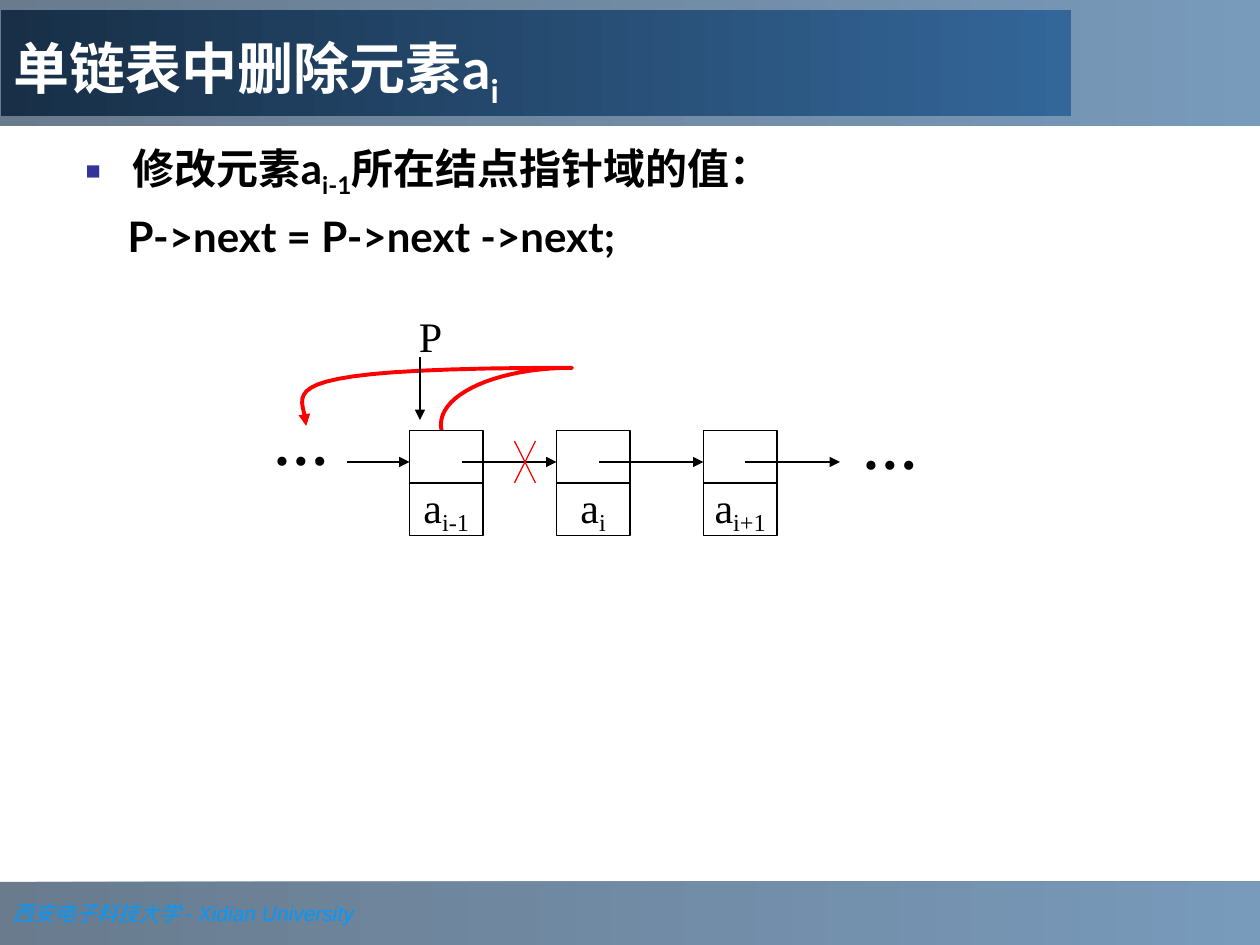
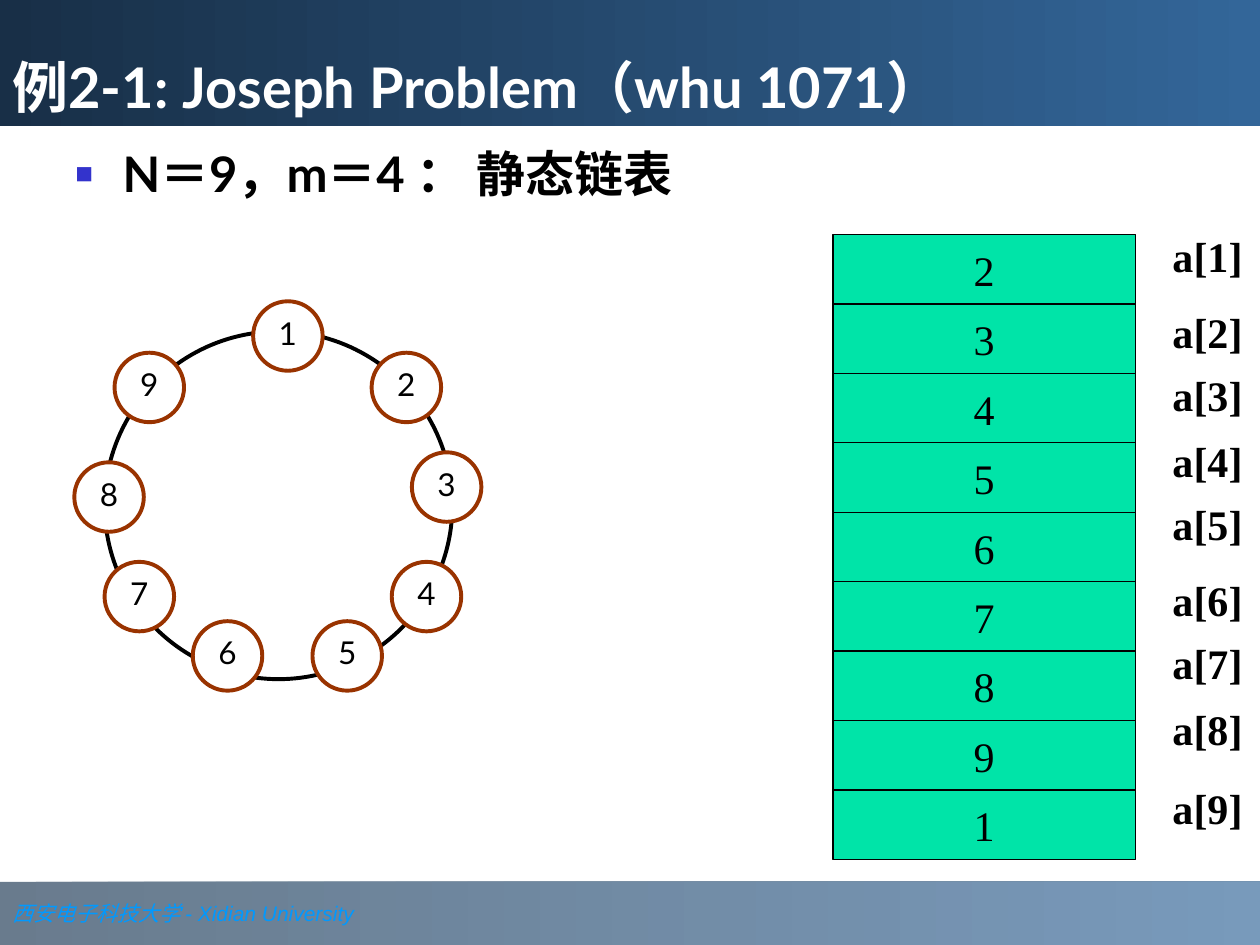
import pptx
import pptx.dml.color
import pptx.enum.shapes
import pptx.enum.text
import pptx.oxml
import pptx.oxml.ns
import pptx.util

Pt = pptx.util.Pt
SHAPES = pptx.enum.shapes.MSO_SHAPE
ALIGN = pptx.enum.text.PP_ALIGN
ANCHOR = pptx.enum.text.MSO_ANCHOR

COLORS = {
    "band_start": "1C3853", "band_end": "336699", "title_start": "182F47",
    "footer": "0099FF", "white": "FFFFFF", "black": "000000", "red": "FF0000",
    "bullet_delete": "333399", "bullet_joseph": "3333CC",
    "ring_node": "993300", "array_cell": "00E4A8",
}
SANS, SERIF = "Lato", "Times New Roman"
WIDTH, HEIGHT = 720, 540

FOOTER = [("西安电子科技大学 ", SERIF), ("- Xidian University", "Arial")]

DELETE_TITLE = [("单链表中删除元素a", 0), ("i", -25)]
DELETE_STEP = [("修改元素a", 0), ("i-1", -25), ("所在结点指针域的值：", 0)]
DELETE_CODE = [("P->next = P->next ->next;", 0)]
LIST_NODES = ["i-1", "i", "i+1"]
LIST_ARROWS = [(198, 234), (264, 318), (342, 402), (426, 480)]
ELLIPSES = [(156, 234), (492.5, 236.2)]
CROSS = [((306, 252), (294, 276)), ((294, 252), (306, 276))]
BYPASS = [
    ((261.4, 257.8), (254.9, 253.4), (252, 247.7), (252, 242.6)),
    ((252, 242.6), (252, 224.6), (285.1, 210.2), (326.9, 210.2)),
    ((326.9, 210.2), (141.8, 210.2), (175, 224.6), (175, 243.4)),
]

JOSEPH_TITLE = [("例2-1: Joseph Problem（whu 1071）", 0)]
JOSEPH_CASE = [("N＝9，m＝4 ： 静态链表", 0)]
RING_CENTERS = [(164.5, 192), (232.2, 221.4), (255.2, 278.3), (243.7, 340.9),
                (198.4, 374.8), (130, 374.8), (79.6, 340.9), (62.3, 284),
                (85.3, 221.4)]
RING_NODE = 39.7
NEXT_INDEX = [2, 3, 4, 5, 6, 7, 8, 9, 1]
INDEX_TOPS = [128.2, 171.4, 207.4, 245.5, 281.5, 324.7, 360.7, 398.2, 443.5]


def rgb(name):
    return pptx.dml.color.RGBColor.from_string(COLORS[name])


def xml(tag, **attributes):
    element = pptx.oxml.parse_xml(f"<a:{tag} {pptx.oxml.ns.nsdecls('a')}/>")
    for key, value in attributes.items():
        element.set(key, str(value))
    return element


def write(paragraph, runs, size, font=SANS, color="black", bold=False,
          italic=False, align=ALIGN.LEFT, spacing=None):
    paragraph.alignment = align
    if spacing:
        paragraph.line_spacing = spacing
    for text, baseline in runs:
        run = paragraph.add_run()
        run.text = text
        run.font.size = Pt(size)
        run.font.name = font
        run.font.bold = bold
        run.font.italic = italic
        run.font.color.rgb = rgb(color)
        if baseline:
            run._r.get_or_add_rPr().set("baseline", str(baseline * 1000))


def add_box(slide, kind, box, fill=None, line=None, weight=0.75):
    shape = slide.shapes.add_shape(kind, *map(Pt, box))
    shape.shadow.inherit = False
    if fill:
        shape.fill.solid()
        shape.fill.fore_color.rgb = rgb(fill)
    else:
        shape.fill.background()
    if line:
        shape.line.color.rgb = rgb(line)
        shape.line.width = Pt(weight)
    else:
        shape.line.fill.background()
    shape.text_frame.word_wrap = False
    shape.text_frame.vertical_anchor = ANCHOR.MIDDLE
    return shape


def add_text(slide, box, inset=True):
    frame = slide.shapes.add_textbox(*map(Pt, box)).text_frame
    frame.word_wrap = True
    if not inset:
        frame.margin_left = frame.margin_right = 0
        frame.margin_top = frame.margin_bottom = 0
    return frame


def add_band(slide, box, start, alpha=None):
    band = add_box(slide, SHAPES.RECTANGLE, box)
    band.fill.gradient()
    band.fill.gradient_angle = 0
    for stop, color in zip(band.fill.gradient_stops, (start, "band_end")):
        stop.color.rgb = rgb(color)
    if alpha:
        for color in band._element.spPr.iter(pptx.oxml.ns.qn("a:srgbClr")):
            color.append(xml("alpha", val=alpha * 1000))
    band.text_frame.word_wrap = True
    return band


def add_arrowhead(shape):
    shape.line._get_or_add_ln().append(xml("tailEnd", type="triangle"))


def add_line(slide, start, end, color="black", arrow=True):
    line = slide.shapes.add_connector(
        pptx.enum.shapes.MSO_CONNECTOR.STRAIGHT, *map(Pt, start + end))
    line.line.color.rgb = rgb(color)
    line.line.width = Pt(0.75)
    if arrow:
        add_arrowhead(line)
    line._element.spPr.append(xml("effectLst"))


def bullet(paragraph, color):
    properties = paragraph._p.get_or_add_pPr()
    properties.set("marL", str(Pt(27)))
    properties.set("indent", str(Pt(-27)))
    tint = xml("buClr")
    tint.append(xml("srgbClr", val=COLORS[color]))
    properties.append(tint)
    properties.append(xml("buSzPct", val=60000))
    properties.append(xml("buFont", typeface="Arial"))
    properties.append(xml("buChar", char="■"))


def add_slide(deck, title, title_box):
    slide = deck.slides.add_slide(deck.slide_layouts[6])
    footer = add_band(slide, (0, 504, WIDTH, 36), "band_start", 66)
    for text, font in FOOTER:
        write(footer.text_frame.paragraphs[0], [(text, 0)], 12, font,
              "footer", italic=True)
    add_band(slide, (0, 0, WIDTH, 72), "band_start", 66)
    heading = add_band(slide, title_box, "title_start")
    heading.text_frame.vertical_anchor = ANCHOR.BOTTOM
    write(heading.text_frame.paragraphs[0], title, 32, color="white", bold=True)
    return slide


def curve_points(segments, steps=20):
    for a, b, c, d in segments:
        for step in range(1, steps + 1):
            t = step / steps
            u = 1 - t
            yield tuple(100 * (u**3 * p + 3 * u * u * t * q + 3 * u * t * t * r + t**3 * s)
                        for p, q, r, s in zip(a, b, c, d))


def add_bypass(slide):
    x, y = BYPASS[0][0]
    builder = slide.shapes.build_freeform(x * 100, y * 100, scale=Pt(0.01))
    builder.add_line_segments(list(curve_points(BYPASS)), close=False)
    bypass = builder.convert_to_shape()
    bypass.shadow.inherit = False
    bypass.fill.background()
    bypass.line.color.rgb = rgb("red")
    bypass.line.width = Pt(2.25)
    add_arrowhead(bypass)


def build_delete(deck):
    slide = add_slide(deck, DELETE_TITLE, (0.7, 6, 611.3, 60.5))
    body = add_text(slide, (41.8, 77.8, 635, 77.8))
    step = body.paragraphs[0]
    bullet(step, "bullet_delete")
    write(step, DELETE_STEP, 24, bold=True)
    code = body.add_paragraph()
    code.space_before = Pt(6)
    code._p.get_or_add_pPr().set("marL", str(Pt(24)))
    write(code, DELETE_CODE, 24, bold=True)

    add_bypass(slide)
    for i, subscript in enumerate(LIST_NODES):
        left = 234 + 84 * i
        data = add_box(slide, SHAPES.RECTANGLE, (left, 276, 42, 30), "white", "black")
        write(data.text_frame.paragraphs[0], [("a", 0), (subscript, -20)], 24,
              SERIF, align=ALIGN.CENTER)
        add_box(slide, SHAPES.RECTANGLE, (left, 246, 42, 30), "white", "black")
    for start, end in LIST_ARROWS:
        add_line(slide, (start, 264), (end, 264))
    for left, top in ELLIPSES:
        dots = add_text(slide, (left, top, 42, 38), inset=False)
        write(dots.paragraphs[0], [("…", 0)], 32, SERIF, bold=True)
    pointer = add_text(slide, (216, 177, 60, 33))
    write(pointer.paragraphs[0], [("P", 0)], 24, SERIF,
          align=ALIGN.CENTER, spacing=0.9)
    add_line(slide, (240, 204), (240, 240))
    for start, end in CROSS:
        add_line(slide, start, end, "red", arrow=False)


def build_joseph(deck):
    slide = add_slide(deck, JOSEPH_TITLE, (0, 0, WIDTH, 72))
    case = add_text(slide, (36, 78.5, 648, 66)).paragraphs[0]
    bullet(case, "bullet_joseph")
    write(case, JOSEPH_CASE, 28, bold=True)

    add_box(slide, SHAPES.OVAL, (59.8, 189.4, 198.7, 198.7), line="black", weight=2.25)
    for number, (x, y) in enumerate(RING_CENTERS, 1):
        person = add_box(slide, SHAPES.OVAL,
                         (x - RING_NODE / 2, y - RING_NODE / 2, RING_NODE, RING_NODE),
                         "white", "ring_node", 2.25)
        write(person.text_frame.paragraphs[0], [(str(number), 0)], 18,
              align=ALIGN.CENTER, spacing=0.8)

    for i, (following, top) in enumerate(zip(NEXT_INDEX, INDEX_TOPS)):
        cell = add_box(slide, SHAPES.RECTANGLE, (476, 134 + 39.67 * i, 172.8, 40),
                       "array_cell", "black")
        write(cell.text_frame.paragraphs[0], [(str(following), 0)], 24, SERIF,
              align=ALIGN.CENTER)
        index = add_text(slide, (660, top, 60, 36))
        write(index.paragraphs[0], [(f"a[{i + 1}]", 0)], 24, SERIF, bold=True,
              align=ALIGN.CENTER)


def main():
    deck = pptx.Presentation()
    deck.slide_width, deck.slide_height = Pt(WIDTH), Pt(HEIGHT)
    build_delete(deck)
    build_joseph(deck)
    deck.save("out.pptx")


if __name__ == "__main__":
    main()
